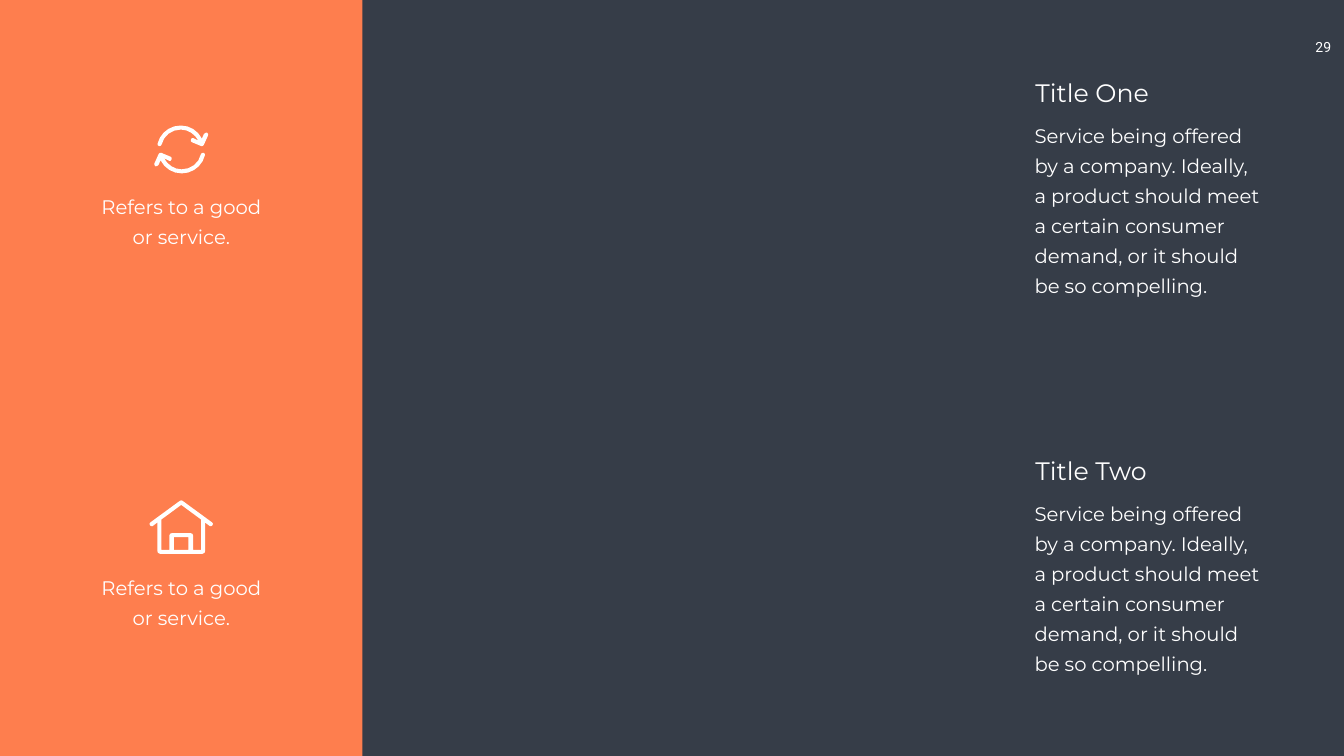
import math

from pptx import Presentation
from pptx.dml.color import RGBColor
from pptx.enum import shapes, text
from pptx.util import Pt

COLORS = {"background": "363D48", "sidebar": "FE7E4E", "light": "FFFFFF"}
SLIDE_W, SLIDE_H = 1919.52, 1080
SIDEBAR_W = 517.7
CURVE_STEP = 8

ARROW = [
    (36.7, -24.1), (35.3, -24.1, 33.1, -23.4, 32.4, -22), (29.5, -15.5),
    (23.8, -27, 12.2, -34.2, -0.7, -34.2), (-16.6, -34.2, -30.2, -23.4, -33.8, -8.3),
    (-34.6, -6.8, -33.1, -5.4, -31.7, -4.7), (-29.5, -4.7, -28.8, -5.4, -28.1, -6.8),
    (-25.2, -19.8, -13.7, -28.4, -0.7, -28.4), (10.1, -28.4, 19.4, -22, 24.5, -12.6),
    (17.3, -16.2), (15.8, -16.9, 14.4, -16.2, 13.7, -14),
    (13, -12.6, 13.7, -11.2, 15.1, -10.4), (28.8, -4.7),
    (30.5, -4.3, 31.7, -5.4, 32.4, -6.8), (38.2, -19.8),
    (38.9, -21.2, 38.2, -23.4, 36.7, -24.1),
]
HOUSE_HALVES = [
    [(0, 0), (1.9, 0.7), (44.3, 31.7),
     (45.7, 32.4, 45.7, 34.6, 44.3, 36), (43.6, 36.7, 42, 37.2, 40.7, 36.7),
     (34.2, 31.7), (34.2, 72), (34.2, 74.2, 32.8, 76.3, 30.6, 76.3)],
    [(0, 6.5), (28.4, 27.4), (28.4, 70.6), (17, 70.6), (17, 50.4),
     (17, 48.2, 15.5, 46.8, 13, 46.8)],
    [(10.4, 52.6), (10.4, 70.6)],
]


def color(name):
    return RGBColor.from_string(COLORS[name])


def flatten(outline):
    points = []
    for step in outline:
        if len(step) == 2:
            points.append(step)
            continue
        x0, y0 = points[-1]
        x1, y1, x2, y2, x3, y3 = step
        count = max(2, round(math.hypot(x3 - x0, y3 - y0) / CURVE_STEP))
        for i in range(1, count + 1):
            t = i / count
            a, b, c, d = (1 - t) ** 3, 3 * t * (1 - t) ** 2, 3 * t * t * (1 - t), t ** 3
            points.append((a * x0 + b * x1 + c * x2 + d * x3,
                           a * y0 + b * y1 + c * y2 + d * y3))
    return points


def paint(shape, name):
    shape.shadow.inherit = False
    shape.fill.solid()
    shape.fill.fore_color.rgb = color(name)
    shape.line.fill.background()


def add_outline(parent, x, y, contours):
    scaled = [[(round(px * 100), round(py * 100)) for px, py in c] for c in contours]
    builder = parent.build_freeform(*scaled[0][0], scale=Pt(1) / 100)
    for i, contour in enumerate(scaled):
        if i:
            builder.move_to(*contour[0])
        builder.add_line_segments(contour[1:], close=True)
    paint(builder.convert_to_shape(Pt(x), Pt(y)), "light")


def refresh_icon(slide, x, y):
    arrow = flatten(ARROW)
    icon = slide.shapes.add_group_shape()
    for turn in (1, -1):
        add_outline(icon.shapes, x, y, [[(turn * px, turn * py) for px, py in arrow]])


def house_icon(slide, x, y):
    halves = [flatten(half) for half in HOUSE_HALVES]
    contours = [half + [(-px, py) for px, py in reversed(half) if px] for half in halves]
    add_outline(slide.shapes, x, y, contours)


def add_text(parent, box, wording, size, font="Montserrat", insets=(7.2, 3.6),
             align=text.PP_ALIGN.LEFT, spacing=None, wrap=True):
    frame = parent.add_textbox(*map(Pt, box)).text_frame
    frame.word_wrap = wrap
    frame.auto_size = text.MSO_AUTO_SIZE.SHAPE_TO_FIT_TEXT
    frame.margin_left = frame.margin_right = Pt(insets[0])
    frame.margin_top = frame.margin_bottom = Pt(insets[1])
    frame.text = wording
    paragraph = frame.paragraphs[0]
    paragraph.alignment = align
    if spacing:
        paragraph.line_spacing = Pt(spacing)
    run_font = paragraph.runs[0].font
    run_font.size, run_font.name = Pt(size), font
    run_font.color.rgb = color("light")


def add_body(parent, box, wording, align=text.PP_ALIGN.LEFT):
    add_text(parent, box, wording, 28, insets=(17.28, 8.64), align=align, spacing=43)


def page_number(slide, x, y, w, h):
    add_text(slide.shapes, (x, y, w, h), "29", 20, font="Roboto",
             insets=(14.4, 7.2), align=text.PP_ALIGN.CENTER, wrap=False)


def sidebar(slide, x, y, w, h):
    panel = slide.shapes.add_shape(shapes.MSO_SHAPE.RECTANGLE, *map(Pt, (x, y, w, h)))
    paint(panel, "sidebar")
    center = x + w / 2
    caption_w = 278
    for draw_icon, icon_y, caption_y in ((house_icon, 714.8, 805),
                                         (refresh_icon, 213.5, 260.6)):
        draw_icon(slide, center, y + icon_y)
        add_body(slide.shapes, (center - caption_w / 2, y + caption_y, caption_w, 100),
                 "Refers to a good or service.", text.PP_ALIGN.CENTER)


def service(slide, x, y, w, h, title):
    title_indent, title_h = 11.5, 51.1
    parts = slide.shapes.add_group_shape().shapes
    add_body(parts, (x, y + title_h, w, h - title_h),
             "Service being offered by a company. Ideally, a product should meet "
             "a certain consumer demand, or it should be so compelling.")
    add_text(parts, (x + title_indent, y, w - title_indent, title_h), title, 36)


def main():
    deck = Presentation()
    deck.slide_width, deck.slide_height = Pt(SLIDE_W), Pt(SLIDE_H)
    slide = deck.slides.add_slide(deck.slide_layouts[6])
    slide.background.fill.solid()
    slide.background.fill.fore_color.rgb = color("background")
    page_number(slide, 1857.3, 48.2, 65.5, 38.9)
    sidebar(slide, 0, 0, SIDEBAR_W, SLIDE_H)
    for row, title in enumerate(("Title One", "Title Two")):
        service(slide, 1460.2, 107.3 + row * SLIDE_H / 2, 361.4, 324.7, title)
    deck.save("out.pptx")


if __name__ == "__main__":
    main()
